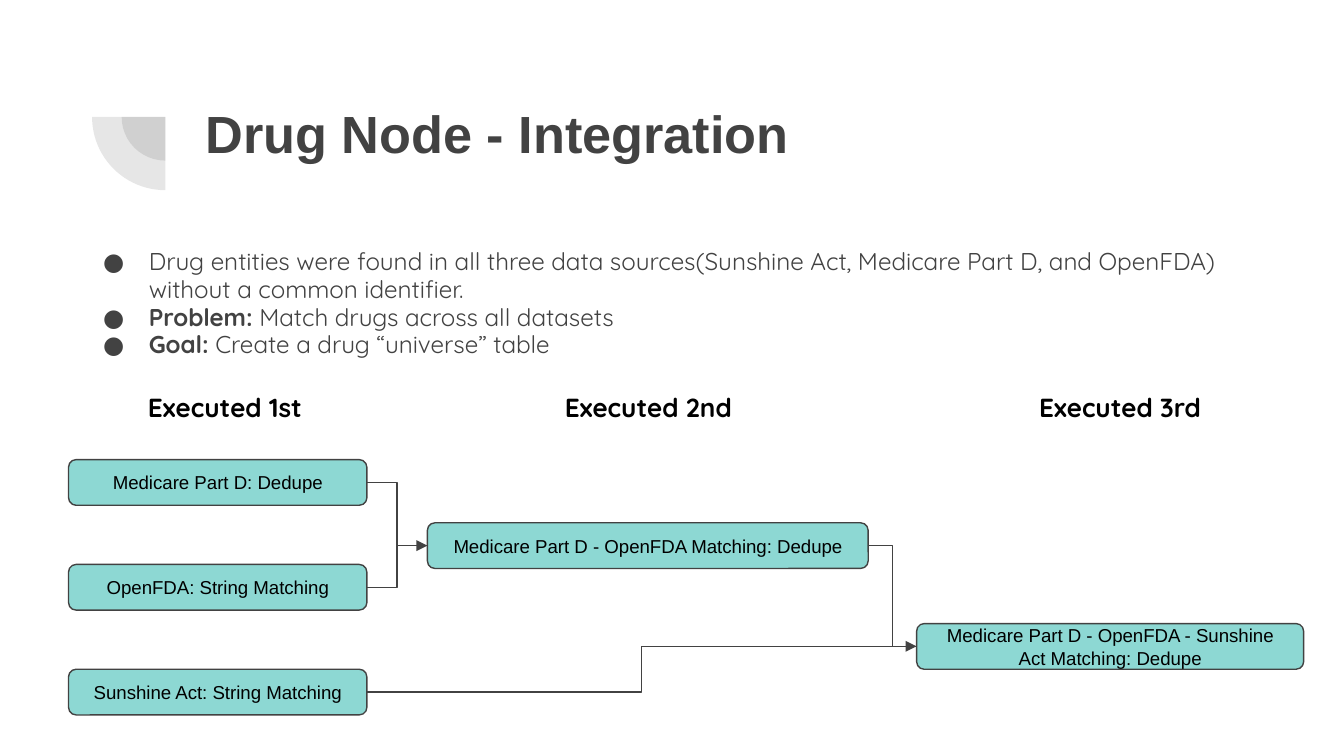
from lxml.etree import SubElement
from pptx import Presentation
from pptx.dml.color import RGBColor
from pptx.enum.shapes import MSO_CONNECTOR, MSO_SHAPE
from pptx.enum.text import MSO_ANCHOR, MSO_AUTO_SIZE, PP_ALIGN
from pptx.oxml.ns import qn
from pptx.util import Inches, Pt

GREY, TEAL, BLACK = "424242", "8DD8D3", "000000"
BOX_H = 0.34
BULLETS = [
    [("Drug entities were found in all three data sources(Sunshine Act, "
      "Medicare Part D, and OpenFDA) without a common identifier.", False)],
    [("Problem: ", True), ("Match drugs across all datasets", False)],
    [("Goal:", True), (" Create a drug “universe” table", False)],
]
# Left edge and width of each step's boxes
STEPS = [(0.51, 2.22), (3.18, 3.28), (6.82, 2.88)]
# Left edge and width of each step's heading
HEADINGS = {"Executed 1st": (0.99, 1.37), "Executed 2nd": (4.04, 1.57),
            "Executed 3rd": (7.55, 1.57)}
SOURCES = ["Medicare Part D: Dedupe", "OpenFDA: String Matching",
           "Sunshine Act: String Matching"]


def rgb(color):
    return RGBColor.from_string(color)


def inches(*lengths):
    return [Inches(n) for n in lengths]


def style(r, size, font, color, bold=False):
    r.font.size, r.font.name, r.font.bold = Pt(size), font, bold
    r.font.color.rgb = rgb(color)


def set_margins(tf):
    tf.margin_left = tf.margin_right = tf.margin_top = tf.margin_bottom = Inches(0.1)
    tf.word_wrap = True


def add_quarter(s, cx, cy, radius):
    """Translucent lower-left quarter of a disc."""
    sp = s.shapes.add_shape(MSO_SHAPE.PIE, *inches(
        cx - radius, cy - radius, 2 * radius, 2 * radius))
    sp.adjustments[0], sp.adjustments[1] = 54, 108
    sp.shadow.inherit = False
    sp.line.fill.background()
    sp.fill.solid()
    sp.fill.fore_color.rgb = rgb(GREY)
    fill = sp._element.spPr.find(qn("a:solidFill"))
    SubElement(fill[0], qn("a:alpha"), val="13000")


def set_title(s, text):
    sp = s.shapes.title
    sp.left, sp.top, sp.width, sp.height = inches(1.43, 0.65, 7.69, 1.09)
    tf = sp.text_frame
    tf.text = text
    set_margins(tf)
    tf.auto_size = MSO_AUTO_SIZE.NONE
    tf.vertical_anchor = MSO_ANCHOR.TOP
    p = tf.paragraphs[0]
    p.alignment = PP_ALIGN.LEFT
    style(p.runs[0], 28, "Arial", GREY, True)


def add_bullet(p):
    pPr = p._p.get_or_add_pPr()
    pPr.set("marL", str(Inches(0.5)))
    pPr.set("indent", str(Inches(-0.34)))
    SubElement(SubElement(pPr, qn("a:buClr")), qn("a:srgbClr"), val=GREY)
    SubElement(pPr, qn("a:buFont"), typeface="Quicksand")
    SubElement(pPr, qn("a:buChar"), char="●")


def add_bullets(s, items):
    tf = s.shapes.add_textbox(*inches(0.51, 1.75, 9.2, 1.09)).text_frame
    set_margins(tf)
    for i, item in enumerate(items):
        p = tf.add_paragraph() if i else tf.paragraphs[0]
        p.line_spacing = 0.95
        add_bullet(p)
        for text, bold in item:
            r = p.add_run()
            r.text = text
            style(r, 13, "Quicksand", GREY, bold)


def set_centred(sp, text, size, font, bold=False):
    tf = sp.text_frame
    tf.text = text
    set_margins(tf)
    p = tf.paragraphs[0]
    p.alignment = PP_ALIGN.CENTER
    style(p.runs[0], size, font, BLACK, bold)


def add_heading(s, text, left, width):
    sp = s.shapes.add_textbox(*inches(left, 2.81, width, 0.44))
    set_centred(sp, text, 14, "Quicksand", True)


def add_box(s, step, top, text):
    left, width = STEPS[step]
    sp = s.shapes.add_shape(MSO_SHAPE.ROUNDED_RECTANGLE,
                            *inches(left, top, width, BOX_H))
    sp.shadow.inherit = False
    sp.fill.solid()
    sp.fill.fore_color.rgb = rgb(TEAL)
    sp.line.color.rgb = rgb(GREY)
    sp.line.width = Pt(0.75)
    set_centred(sp, text, 10, "Arial")
    sp.text_frame.vertical_anchor = MSO_ANCHOR.MIDDLE
    return sp


def join(s, start, end, arrow):
    """Elbow from the right side of start to the left side of end."""
    c = s.shapes.add_connector(MSO_CONNECTOR.ELBOW, 0, 0, 0, 0)
    c.begin_connect(start, 3)
    c.end_connect(end, 1)
    c.line.color.rgb = rgb(GREY)
    c.line.width = Pt(0.75)
    if arrow:
        SubElement(c.line._get_or_add_ln(), qn("a:tailEnd"), type="triangle")
    SubElement(c._element.spPr, qn("a:effectLst"))


def main():
    prs = Presentation()
    prs.slide_width = Inches(10)
    prs.slide_height = prs.slide_width * 9 // 16
    s = prs.slides.add_slide(prs.slide_layouts[5])
    for radius in (0.325, 0.545):
        add_quarter(s, 1.23, 0.87, radius)
    set_title(s, "Drug Node - Integration")
    add_bullets(s, BULLETS)

    medicare, openfda, sunshine = [
        add_box(s, 0, 3.42 + 0.78 * i, text) for i, text in enumerate(SOURCES)]
    matched = add_box(s, 1, 3.89, "Medicare Part D - OpenFDA Matching: Dedupe")
    final = add_box(s, 2, 4.64,
                    "Medicare Part D - OpenFDA - Sunshine Act Matching: Dedupe")
    for start, end, arrow in [(medicare, matched, True), (openfda, matched, False),
                              (sunshine, final, True), (matched, final, False)]:
        join(s, start, end, arrow)
    for text, (left, width) in HEADINGS.items():
        add_heading(s, text, left, width)
    prs.save("out.pptx")


if __name__ == "__main__":
    main()
